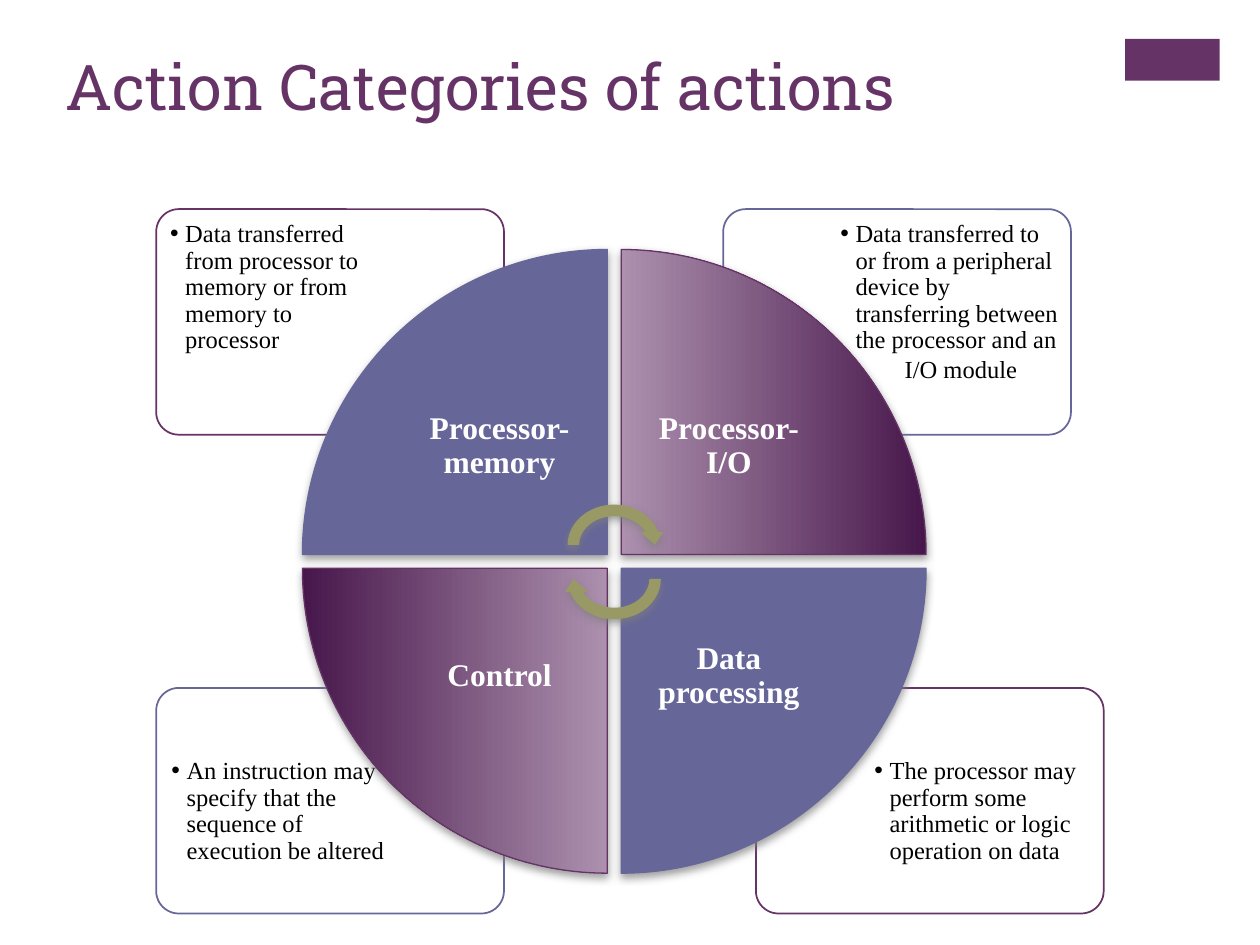
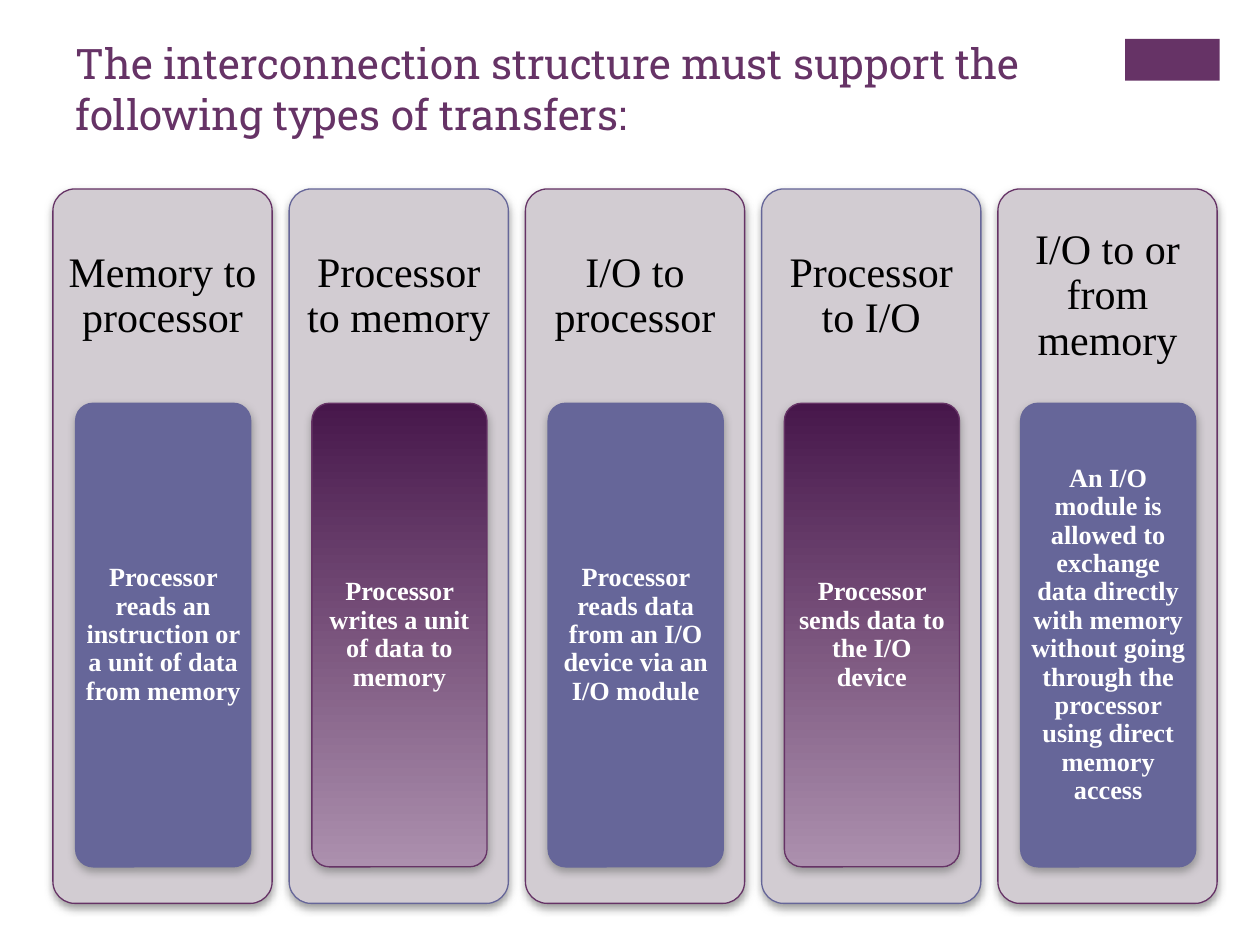
from lxml import etree
from pptx import Presentation
from pptx.dml.color import RGBColor
from pptx.enum import shapes, text
from pptx.oxml import ns
from pptx.util import Inches, Pt

PLUM = RGBColor(0x66, 0x33, 0x66)
SLATE = RGBColor(0x66, 0x66, 0x99)
OLIVE = RGBColor(0x99, 0x99, 0x66)
DARK_PLUM = RGBColor(0x47, 0x17, 0x4B)
LIGHT_PLUM = RGBColor(0xAC, 0x90, 0xAE)
PANEL = RGBColor(0xD2, 0xCC, 0xD2)
WHITE = RGBColor(0xFF, 0xFF, 0xFF)
BLACK = RGBColor(0, 0, 0)
SHADOW = RGBColor(0x80, 0x80, 0x80)
TITLE_FONT = "Roboto Slab"
BODY_FONT = "Times New Roman"
SHAPE = shapes.MSO_SHAPE

CATEGORIES = [
    ("Processor-memory", 1.24, 1.66,
     ["Data transferred from processor to memory or from memory to processor"]),
    ("Processor-I/O", 5.74, 1.66,
     ["Data transferred to or from a peripheral device by transferring "
      "between the processor and an", "I/O module"]),
    ("Data processing", 6, 5.46,
     ["The processor may perform some arithmetic or logic operation on data"]),
    ("Control", 1.24, 5.46,
     ["An instruction may specify that the sequence of execution be altered"]),
]
TRANSFERS = [
    ("Memory to processor",
     "Processor reads an instruction or a unit of data from memory"),
    ("Processor to memory", "Processor writes a unit of data to memory"),
    ("I/O to processor",
     "Processor reads data from an I/O device via an I/O module"),
    ("Processor to I/O", "Processor sends data to the I/O device"),
    ("I/O to or from memory",
     "An I/O module is allowed to exchange data directly with memory without "
     "going through the processor using direct memory access"),
]


def inches(*box):
    """Convert plain numbers to lengths."""
    return [Inches(n) for n in box]


def add_run(p, words, font, size, color, bold=False):
    """Add one formatted run to a paragraph."""
    r = p.add_run()
    r.text = words
    r.font.name, r.font.size, r.font.bold = font, Pt(size), bold
    r.font.color.rgb = color


def add_shadow(sp):
    """Give a shape the soft shadow that falls straight down."""
    effects = sp.element.spPr.find(ns.qn("a:effectLst"))
    outer = etree.SubElement(effects, ns.qn("a:outerShdw"), blurRad=str(Pt(5)),
                             dist=str(Pt(2)), dir="5400000", rotWithShape="0")
    color = etree.SubElement(outer, ns.qn("a:srgbClr"), val=str(SHADOW))
    etree.SubElement(color, ns.qn("a:alpha"), val="75000")


def add_figure(slide, kind, box, fill, line=None, width=0.75, shadow=True):
    """Draw a preset shape; a fill of None means the plum gradient."""
    sp = slide.shapes.add_shape(kind, *inches(*box))
    sp.shadow.inherit = False
    if kind == SHAPE.ROUNDED_RECTANGLE:
        sp.adjustments[0] = 0.1
    if fill is None:
        sp.fill.gradient()
        sp.fill.gradient_angle = 270
        for stop, color in zip(sp.fill.gradient_stops, (DARK_PLUM, LIGHT_PLUM)):
            stop.color.rgb = color
    else:
        sp.fill.solid()
        sp.fill.fore_color.rgb = fill
    if line is None:
        sp.line.fill.background()
    else:
        sp.line.color.rgb = line
        sp.line.width = Pt(width)
    if shadow:
        add_shadow(sp)
    return sp


def add_frame(slide, box, inset, anchor):
    """Add a wrapping text box and return its text frame."""
    tf = slide.shapes.add_textbox(*inches(*box)).text_frame
    tf.word_wrap = True
    tf.vertical_anchor = anchor
    tf.margin_left = tf.margin_right = Inches(inset)
    tf.margin_top = tf.margin_bottom = Inches(inset)
    return tf


def add_label(slide, box, inset, words, size, color, bold=False):
    """Add centred text in the middle of a box."""
    p = add_frame(slide, box, inset, text.MSO_ANCHOR.MIDDLE).paragraphs[0]
    p.alignment = text.PP_ALIGN.CENTER
    p.line_spacing = 0.9
    add_run(p, words, BODY_FONT, size, color, bold)


def set_indent(p, left, bullet):
    """Indent a paragraph, with a hanging bullet if asked."""
    props = p._p.get_or_add_pPr()
    props.set("marL", str(Inches(left)))
    props.set("indent", str(Inches(-0.12 if bullet else 0)))
    if bullet:
        color = etree.SubElement(props, ns.qn("a:buClr"))
        etree.SubElement(color, ns.qn("a:srgbClr"), val=str(BLACK))
        etree.SubElement(props, ns.qn("a:buFont"), typeface="Arial")
        etree.SubElement(props, ns.qn("a:buChar"), char="•")
    else:
        etree.SubElement(props, ns.qn("a:buNone"))


def add_titled_slide(prs, words, box, size):
    """Start a slide with its corner band and title placeholder."""
    slide = prs.slides.add_slide(prs.slide_layouts[5])
    add_figure(slide, SHAPE.RECTANGLE, (8.93, 0.31, 0.75, 0.33), PLUM, shadow=False)
    title = slide.shapes.title
    title.left, title.top, title.width, title.height = inches(*box)
    tf = title.text_frame
    tf.auto_size = text.MSO_AUTO_SIZE.NONE
    tf.word_wrap = True
    tf.vertical_anchor = text.MSO_ANCHOR.TOP
    p = tf.paragraphs[0]
    p.alignment = text.PP_ALIGN.LEFT
    add_run(p, words, TITLE_FONT, size, PLUM)
    return slide


def add_card(slide, x, y, right, low, line, lines):
    """Draw an outer card with its bulleted description."""
    add_figure(slide, SHAPE.ROUNDED_RECTANGLE, (x, y, 2.76, 1.79), WHITE, line, 1, False)
    box = (x + (0.87 if right else 0.05), y + (0.49 if low else 0.04), 1.85, 1.26)
    tf = add_frame(slide, box, 0.07 if low else 0.06, text.MSO_ANCHOR.TOP)
    for i, words in enumerate(lines):
        p = tf.add_paragraph() if i else tf.paragraphs[0]
        p.line_spacing = 0.9
        p.space_before = Pt(2.1 if i else 0)
        set_indent(p, 0.51 if i else 0.12, bullet=not i)
        add_run(p, words, BODY_FONT, 14, BLACK)


def add_wheel(slide, x, y):
    """Draw four wedges, their labels and the two turning arrows."""
    side, pitch, label = 2.42, 2.53, 1.71
    for i, (name, *_) in enumerate(CATEGORIES):
        right, low = i in (1, 2), i > 1
        left, top = x + right * pitch, y + low * pitch
        fill, line = (None, PLUM) if i % 2 else (SLATE, SLATE)
        wedge = add_figure(slide, SHAPE.PIE_WEDGE, (left, top, side, side), fill, line)
        wedge.rotation = 90 * i
        inner = side - label
        box = (left + (0 if right else inner), top + (0 if low else inner), label, label)
        add_label(slide, box, 0.14, name, 18, WHITE, True)
    for dy, turn in ((1.98, 0), (2.25, 180)):
        arrow = add_figure(slide, SHAPE.CIRCULAR_ARROW, (x + 2.06, y + dy, 0.83, 0.73), OLIVE)
        arrow.rotation = turn


def add_panel(slide, x, y, odd, heading, detail):
    """Draw one transfer panel with its heading and inner card."""
    add_figure(slide, SHAPE.ROUNDED_RECTANGLE, (x, y, 1.74, 5.67), PANEL,
               SLATE if odd else PLUM)
    add_label(slide, (x, y, 1.74, 1.7), 0.1, heading, 24, BLACK)
    fill, line = (None, PLUM) if odd else (SLATE, SLATE)
    add_figure(slide, SHAPE.ROUNDED_RECTANGLE, (x + 0.18, y + 1.7, 1.39, 3.68), fill, line)
    add_label(slide, (x + 0.22, y + 1.74, 1.31, 3.6), 0.04, detail, 15, WHITE, True)


def build_categories(prs):
    """Build the slide with the wheel of action categories."""
    slide = add_titled_slide(prs, "Action Categories of actions",
                             (0.42, 0.33, 8.43, 0.76), 36)
    for i, (_, x, y, lines) in enumerate(CATEGORIES):
        add_card(slide, x, y, i in (1, 2), i > 1, SLATE if i % 2 else PLUM, lines)
    add_wheel(slide, 2.4, 1.98)


def build_transfers(prs):
    """Build the slide with the five transfer panels."""
    slide = add_titled_slide(
        prs,
        "The interconnection structure must support the following types of transfers:",
        (0.5, 0.25, 8.26, 1.22), 24)
    for i, (heading, detail) in enumerate(TRANSFERS):
        add_panel(slide, 0.42 + i * 7.5 / 4, 1.5, i % 2, heading, detail)


def main():
    """Build and save the presentation."""
    prs = Presentation()
    prs.slide_width, prs.slide_height = Inches(10), Inches(7.5)
    build_categories(prs)
    build_transfers(prs)
    prs.save("out.pptx")


if __name__ == "__main__":
    main()
